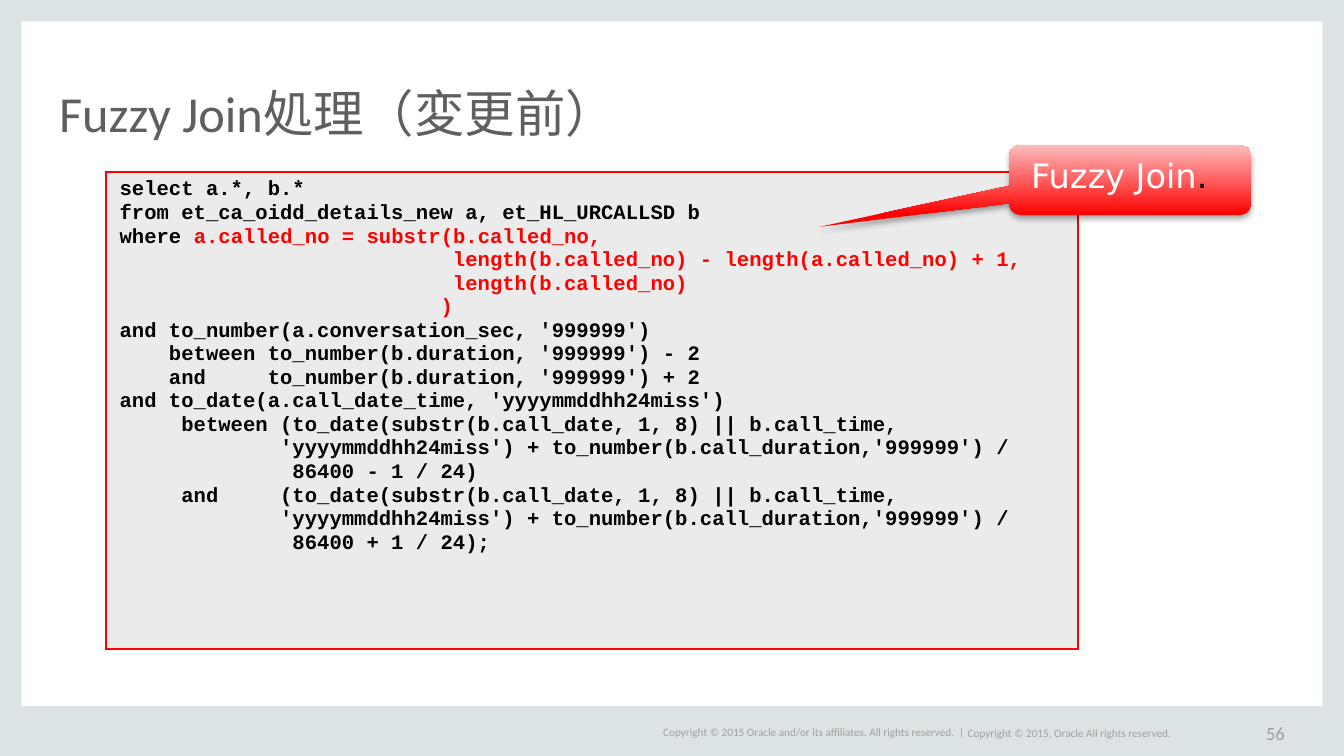
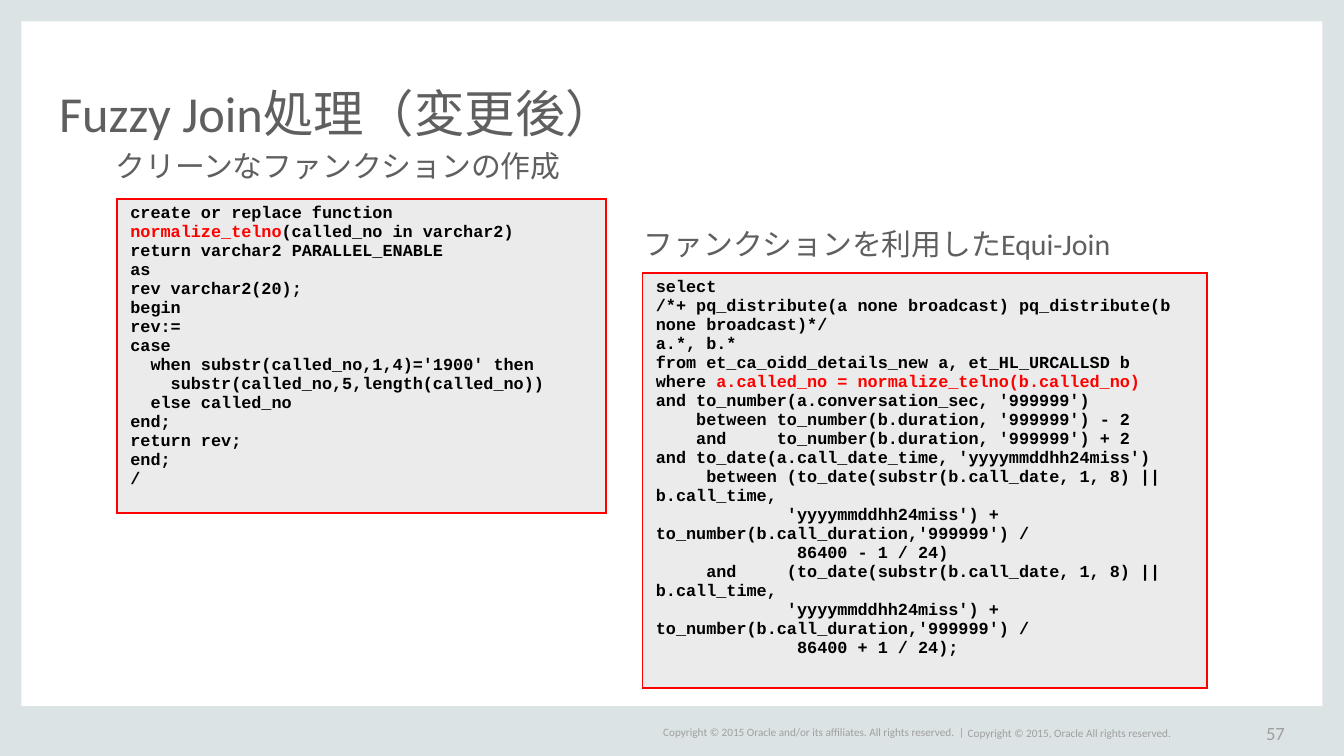
from collections import namedtuple

from lxml import etree
from pptx import Presentation
from pptx.dml.color import RGBColor
from pptx.enum.shapes import MSO_SHAPE as Preset
from pptx.enum.text import MSO_ANCHOR as Anchor, PP_ALIGN as Align
from pptx.oxml import parse_xml
from pptx.oxml.ns import nsdecls, qn
from pptx.util import Inches, Pt

Box = namedtuple("Box", "left top width height")

PAGE = Box(0, 0, 10, 10 * 9 / 16)
TITLE_BOX = Box(0.44, 0.33, 9.13, 0.73)
FOOTER_BOX = Box(4.91, 5.38, 4.65, 0.15)
BODY_FONT, CODE_FONT, CALLOUT_FONT = "Calibri", "Courier New", "DejaVu Sans"
BAND, TEXT, FOOTER = "DCE3E4", "5F5F5F", "9F9F9F"
BLACK, WHITE, RED, PINK, CODE_FILL = "000000", "FFFFFF", "FF0000", "FFBCBC", "EAEBEA"
CALLOUT_RED = "FD0000"

SHARED_CONDITIONS = """\
and to_number(a.conversation_sec, '999999')
    between to_number(b.duration, '999999') - 2
    and     to_number(b.duration, '999999') + 2
and to_date(a.call_date_time, 'yyyymmddhh24miss')
     between (to_date(substr(b.call_date, 1, 8) || b.call_time,
             'yyyymmddhh24miss') + to_number(b.call_duration,'999999') /
              86400 - 1 / 24)
     and     (to_date(substr(b.call_date, 1, 8) || b.call_time,
             'yyyymmddhh24miss') + to_number(b.call_duration,'999999') /
              86400 + 1 / 24);"""

FUZZY_CONDITION = """\
a.called_no = substr(b.called_no,
                           length(b.called_no) - length(a.called_no) + 1,
                           length(b.called_no)
                          )"""

FUZZY_QUERY = f"""\
select a.*, b.*
from et_ca_oidd_details_new a, et_HL_URCALLSD b
where {FUZZY_CONDITION}
{SHARED_CONDITIONS}"""

CLEANING_FUNCTION = """\
create or replace function normalize_telno(called_no in varchar2)
return varchar2 PARALLEL_ENABLE
as
rev varchar2(20);
begin
rev:=
case
  when substr(called_no,1,4)='1900' then
    substr(called_no,5,length(called_no))
  else called_no
end;
return rev;
end;
/"""

EQUI_CONDITION = "a.called_no = normalize_telno(b.called_no)"
EQUI_QUERY = f"""\
select
/*+ pq_distribute(a none broadcast) pq_distribute(b none broadcast)*/
a.*, b.*
from et_ca_oidd_details_new a, et_HL_URCALLSD b
where {EQUI_CONDITION}
{SHARED_CONDITIONS}"""


def color(hex_value):
    """Turn a hex string into a colour."""
    return RGBColor.from_string(hex_value)


def place(box):
    """Give the box as four lengths."""
    return [Inches(length) for length in box]


def add_run(paragraph, text, size, hex_value, font=BODY_FONT, bold=False):
    """Add one formatted run."""
    run = paragraph.add_run()
    run.text = text
    run.font.name = font
    run.font.size = Pt(size)
    run.font.bold = bold
    run.font.color.rgb = color(hex_value)


def end_paragraph(paragraph, size):
    """Give the paragraph mark the size of its text."""
    etree.SubElement(paragraph._p, qn("a:endParaRPr"), sz=str(size * 100))


def add_label(slide, box, text, size, hex_value, anchor=Anchor.TOP,
              align=Align.LEFT, spacing=1.0, wrap=True):
    """Add a one-paragraph text box without insets."""
    frame = slide.shapes.add_textbox(*place(box)).text_frame
    frame.margin_left = frame.margin_right = frame.margin_top = frame.margin_bottom = 0
    frame.word_wrap = wrap
    frame.vertical_anchor = anchor
    paragraph = frame.paragraphs[0]
    paragraph.alignment = align
    paragraph.line_spacing = spacing
    add_run(paragraph, text, size, hex_value)
    end_paragraph(paragraph, size)


def add_bands(slide, box):
    """Draw the four bands along the edges of the box."""
    side, bottom = 0.16, 0.37
    right = box.left + box.width - side
    floor = box.top + box.height - bottom
    for band in (
        Box(box.left, box.top, side, box.height),
        Box(right, box.top, side, box.height),
        Box(box.left, floor, box.width, bottom),
        Box(box.left, box.top, box.width, side),
    ):
        shape = slide.shapes.add_shape(Preset.RECTANGLE, *place(band))
        shape.shadow.inherit = False
        shape.fill.solid()
        shape.fill.fore_color.rgb = color(BAND)
        shape.line.fill.background()


def add_footer(slide, box, number):
    """Add the two copyright lines and the page number side by side."""
    left = box.left
    for text, width, size, align, spacing in (
        ("Copyright © 2015 Oracle and/or its affiliates. All rights reserved.  |",
         2.29, 6, Align.CENTER, 0.9),
        ("Copyright © 2015, Oracle All rights reserved.", 2.05, 6, Align.LEFT, 1.0),
        (str(number), 0.31, 10, Align.RIGHT, 1.0),
    ):
        add_label(slide, Box(left, box.top, width, box.height), text, size, FOOTER,
                  Anchor.MIDDLE, align, spacing, wrap=False)
        left += width


def add_framed_slide(presentation, title, number):
    """Add a slide with bands, title and footer."""
    slide = presentation.slides.add_slide(presentation.slide_layouts[6])
    add_bands(slide, PAGE)
    add_label(slide, TITLE_BOX, title, 27, TEXT, Anchor.BOTTOM, spacing=0.8)
    add_footer(slide, FOOTER_BOX, number)
    return slide


def outline_cell(cell, hex_value):
    """Draw a one-point border on every side of the cell."""
    properties = cell._tc.get_or_add_tcPr()
    for index, side in enumerate(("lnL", "lnR", "lnT", "lnB")):
        properties.insert(index, parse_xml(
            f'<a:{side} {nsdecls("a")} w="{Pt(1)}"><a:solidFill>'
            f'<a:srgbClr val="{hex_value}"/></a:solidFill></a:{side}>'))


def add_code(slide, box, code, highlight, size, border=RED, margin=0.04):
    """Show code in a one-cell table with the highlighted part in red."""
    table = slide.shapes.add_table(1, 1, *place(box)).table
    table.first_row = table.horz_banding = False
    cell = table.cell(0, 0)
    cell.margin_top = cell.margin_bottom = Inches(margin)
    cell.fill.solid()
    cell.fill.fore_color.rgb = color(CODE_FILL)
    outline_cell(cell, border)
    paragraph = cell.text_frame.paragraphs[0]
    for part, hex_value in zip(code.partition(highlight), (BLACK, RED, BLACK)):
        for index, line in enumerate(part.split("\n")):
            if index:
                paragraph = cell.text_frame.add_paragraph()
            if line:
                add_run(paragraph, line, size, hex_value, CODE_FONT, bold=True)
    end_paragraph(paragraph, size)


def add_callout(slide, box):
    """Add the red gradient callout that names the join."""
    shape = slide.shapes.add_shape(Preset.ROUNDED_RECTANGULAR_CALLOUT, *place(box))
    for index, value in enumerate((-1.285, 0.669, 0.167)):
        shape.adjustments[index] = value
    shape.line.fill.background()
    shape.fill.gradient()
    shape.fill.gradient_angle = 90
    for stop, hex_value in zip(shape.fill.gradient_stops, (CALLOUT_RED, PINK)):
        stop.color.rgb = color(hex_value)
    shape.shadow.inherit = False
    effects = shape._element.spPr.find(qn("a:effectLst"))
    shadow = etree.SubElement(effects, qn("a:outerShdw"), blurRad=str(Pt(3.1)),
                              dist=str(Pt(1.8)), dir="5400000", rotWithShape="0")
    tint = etree.SubElement(shadow, qn("a:srgbClr"), val=BLACK)
    etree.SubElement(tint, qn("a:alpha"), val="35000")
    frame = shape.text_frame
    frame.word_wrap = True
    frame.vertical_anchor = Anchor.TOP
    frame.margin_right = Inches(0.26)
    paragraph = frame.paragraphs[0]
    paragraph.alignment = Align.CENTER
    add_run(paragraph, "Fuzzy Join", 18, WHITE, CALLOUT_FONT)
    add_run(paragraph, ".", 18, BLACK, CALLOUT_FONT)


def build_before_slide(presentation):
    """Show the query with the fuzzy join."""
    slide = add_framed_slide(presentation, "Fuzzy Join処理（変更前）", 56)
    add_code(slide, Box(0.79, 1.28, 7.23, 3.55), FUZZY_QUERY, FUZZY_CONDITION, 11,
             CALLOUT_RED, 0.05)
    add_callout(slide, Box(7.51, 1.08, 1.8, 0.52))


def build_after_slide(presentation):
    """Show the cleaning function and the query that uses it."""
    slide = add_framed_slide(presentation, "Fuzzy Join処理（変更後）", 57)
    for heading, heading_box, code, code_box, highlight in (
        ("クリーンなファンクションの作成", Box(0.86, 1.13, 4.24, 0.39),
         CLEANING_FUNCTION, Box(0.87, 1.48, 3.64, 2.15), "normalize_telno"),
        ("ファンクションを利用したEqui-Join", Box(4.79, 1.71, 4.24, 0.39),
         EQUI_QUERY, Box(4.78, 2.03, 4.2, 3.01), EQUI_CONDITION),
    ):
        add_code(slide, code_box, code, highlight, 9)
        add_label(slide, heading_box, heading, 16, TEXT, spacing=0.9)


def main():
    """Build and save the presentation."""
    presentation = Presentation()
    presentation.slide_width = Inches(PAGE.width)
    presentation.slide_height = Inches(PAGE.height)
    build_before_slide(presentation)
    build_after_slide(presentation)
    presentation.save("out.pptx")


if __name__ == "__main__":
    main()
